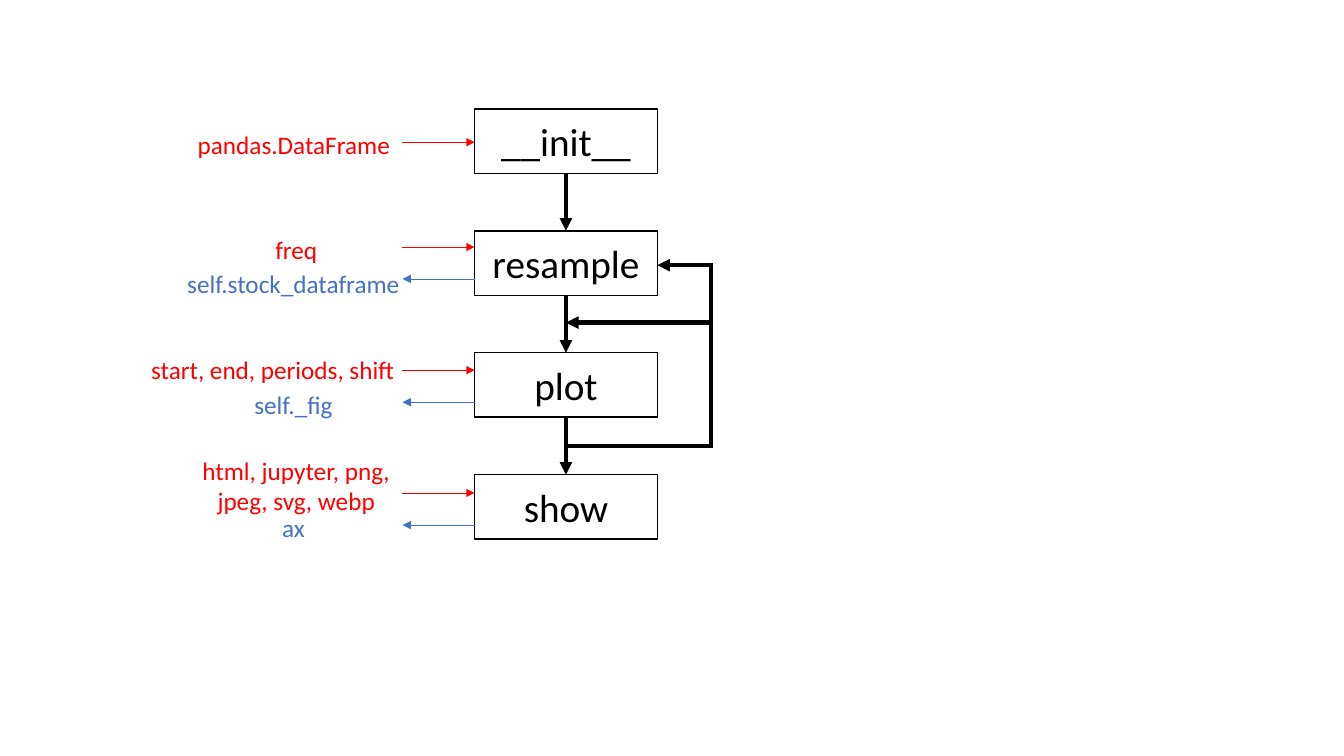
"""Build the slide of the four-step plotting flow with its inputs, outputs and loop."""
from lxml import etree
from pptx import Presentation
from pptx.dml.color import RGBColor
from pptx.enum import shapes, text
from pptx.oxml.ns import qn
from pptx.util import Pt

BLACK = RGBColor(0x00, 0x00, 0x00)
RED = RGBColor(0xFF, 0x00, 0x00)
BLUE = RGBColor(0x44, 0x72, 0xC4)

# Each label: wording, left, width, and drop of label and arrow below the step's top.
STEPS = [
    {"name": "__init__", "input": ("pandas.DataFrame", 126.7, 166.3, 10.8, 23.8)},
    {"name": "resample", "input": ("freq", 136, 151.2, -1.4, 11.6),
     "output": ("self.stock_dataframe", 118, 183, 23, 34.4)},
    {"name": "plot", "input": ("start, end, periods, shift", 100.8, 221.8, -2.2, 12.4),
     "output": ("self._fig", 134, 151.2, 22.3, 35.3)},
    {"name": "show", "input": ("html, jupyter, png, jpeg, svg, webp", 136, 151.2, -17.3, 13),
     "output": ("ax", 134, 151.2, 23, 36)},
]
STEP_LEFT, STEP_TOP, STEP_WIDTH, STEP_HEIGHT, PITCH = 339, 77.8, 130.5, 46, 87.1
STEP_RIGHT = STEP_LEFT + STEP_WIDTH
CENTRE = STEP_LEFT + STEP_WIDTH / 2
LABEL_EDGE, LOOP_X = 287.5, 507.8
LABEL_HEIGHT = 29

deck = Presentation()
deck.slide_width, deck.slide_height = Pt(960), Pt(540)
slide = deck.slides.add_slide(deck.slide_layouts[6])


def write(frame, words, size, color, align=text.PP_ALIGN.CENTER, anchor=text.MSO_ANCHOR.TOP):
    frame.word_wrap = True
    frame.vertical_anchor = anchor
    paragraph = frame.paragraphs[0]
    paragraph.alignment = align
    run = paragraph.add_run()
    run.text = words
    run.font.name, run.font.size = "Calibri", Pt(size)
    run.font.color.rgb = color


def connect(x1, y1, x2, y2, color=BLACK, width=3, arrow=True):
    link = slide.shapes.add_connector(
        shapes.MSO_CONNECTOR.STRAIGHT, Pt(x1), Pt(y1), Pt(x2), Pt(y2))
    link.line.color.rgb = color
    link.line.width = Pt(width)
    properties = link.element.spPr
    if arrow:
        etree.SubElement(properties.find(qn("a:ln")), qn("a:tailEnd"), type="triangle")
    etree.SubElement(properties, qn("a:effectLst"))


def add_step(name, top):
    step = slide.shapes.add_shape(
        shapes.MSO_SHAPE.RECTANGLE, Pt(STEP_LEFT), Pt(top), Pt(STEP_WIDTH), Pt(STEP_HEIGHT))
    step.shadow.inherit = False
    step.fill.background()
    step.line.color.rgb = BLACK
    step.line.width = Pt(1)
    write(step.text_frame, name, 28, BLACK, anchor=text.MSO_ANCHOR.MIDDLE)


def add_label(label, top, color, start, end):
    words, left, width, label_drop, arrow_drop = label
    box = slide.shapes.add_textbox(Pt(left), Pt(top + label_drop), Pt(width), Pt(LABEL_HEIGHT))
    align = text.PP_ALIGN.LEFT if words.startswith("start") else text.PP_ALIGN.CENTER
    write(box.text_frame, words, 18, color, align)
    connect(start, top + arrow_drop, end, top + arrow_drop, color, 0.5)


tops = [STEP_TOP + PITCH * row for row in range(len(STEPS))]
for step, top in zip(STEPS, tops):
    add_step(step["name"], top)
    add_label(step["input"], top, RED, LABEL_EDGE, STEP_LEFT)
    if "output" in step:
        add_label(step["output"], top, BLUE, STEP_LEFT, LABEL_EDGE)
for upper, lower in zip(tops, tops[1:]):
    connect(CENTRE, upper + STEP_HEIGHT, CENTRE, lower)

resample_y = tops[1] + STEP_HEIGHT / 2 + 1.5
before_plot_y = (tops[1] + STEP_HEIGHT + tops[2]) / 2 - 1
after_plot_y = (tops[2] + STEP_HEIGHT + tops[3]) / 2
connect(LOOP_X + 1, after_plot_y, CENTRE + 1.5, after_plot_y, arrow=False)
connect(LOOP_X, resample_y - 1.5, LOOP_X, after_plot_y + 1.5, arrow=False)
connect(LOOP_X, resample_y, STEP_RIGHT, resample_y)
connect(LOOP_X, before_plot_y, CENTRE, before_plot_y)

deck.save("out.pptx")
